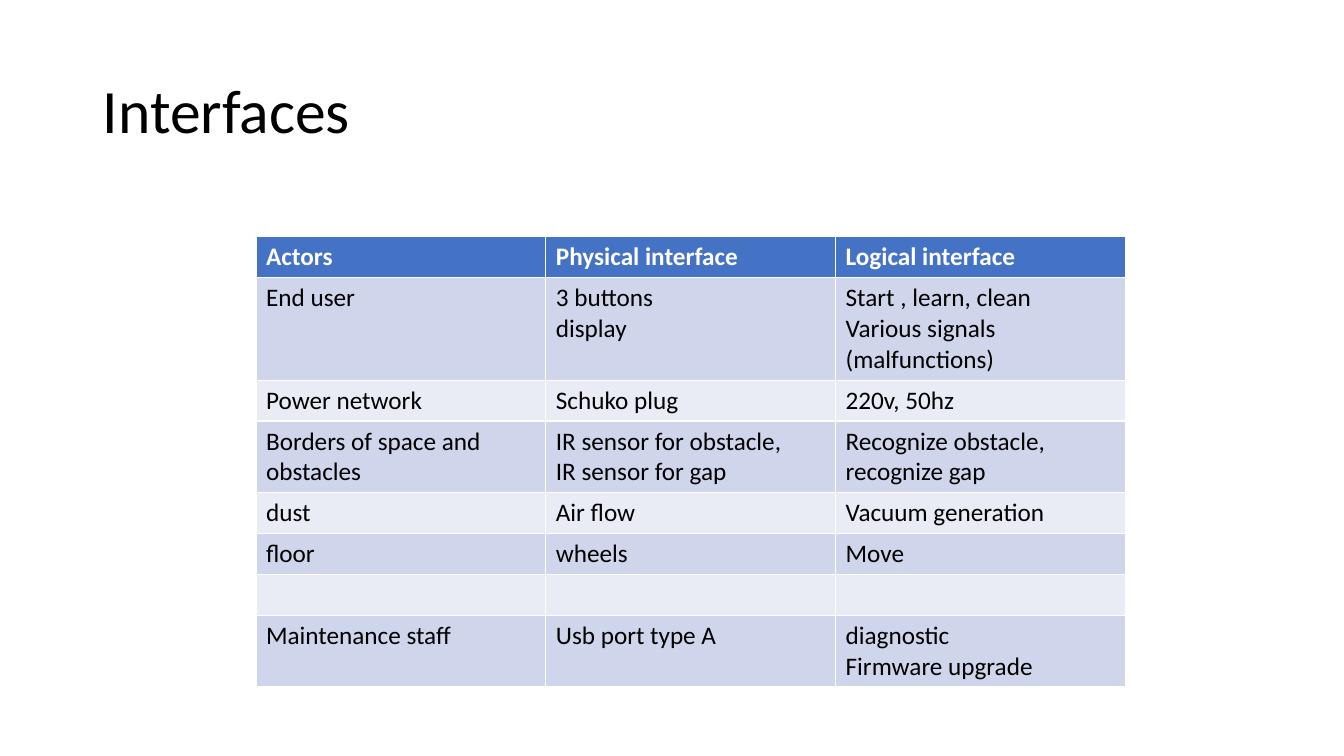
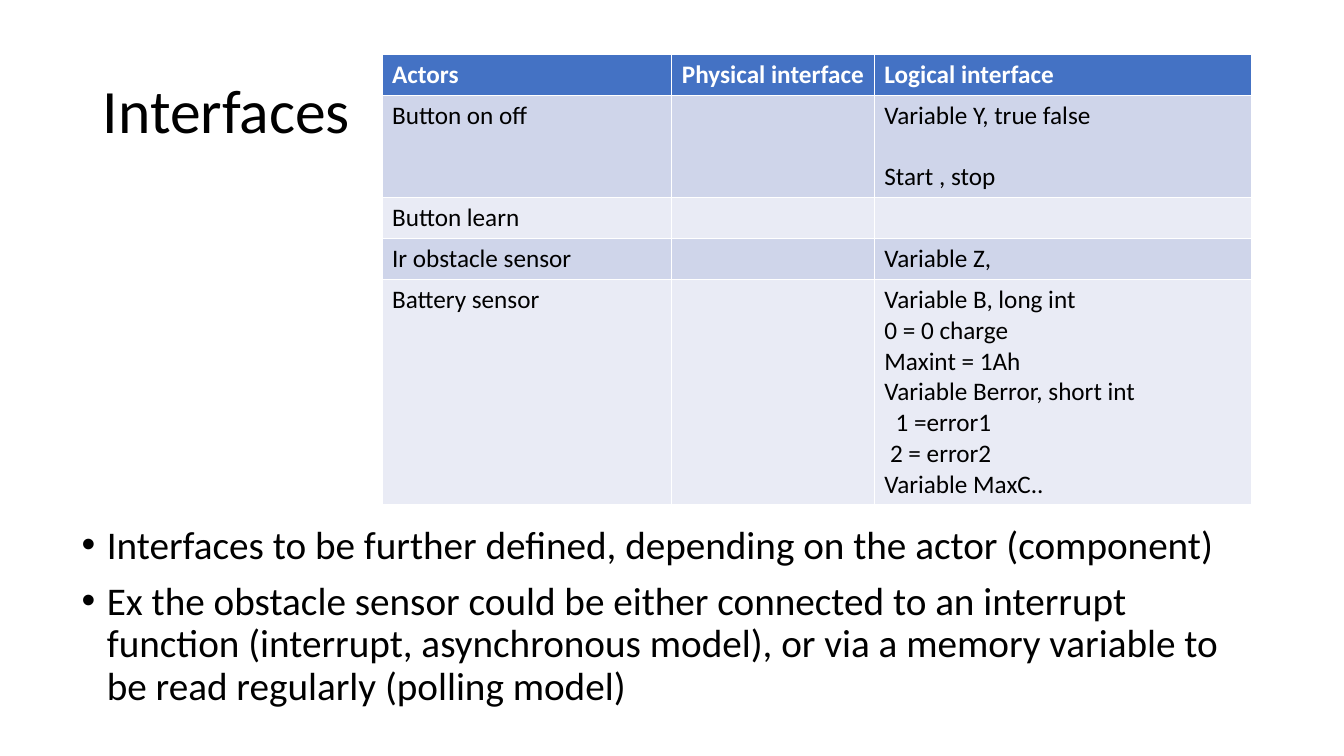
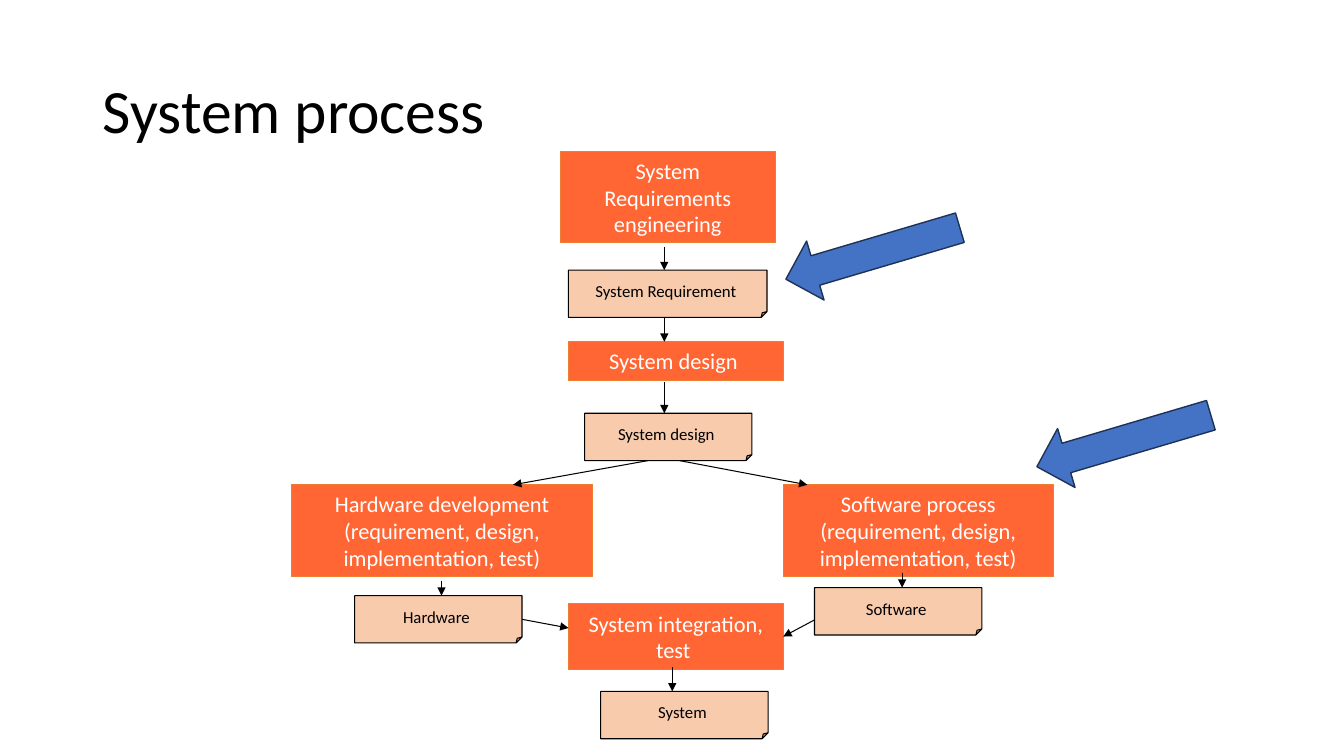
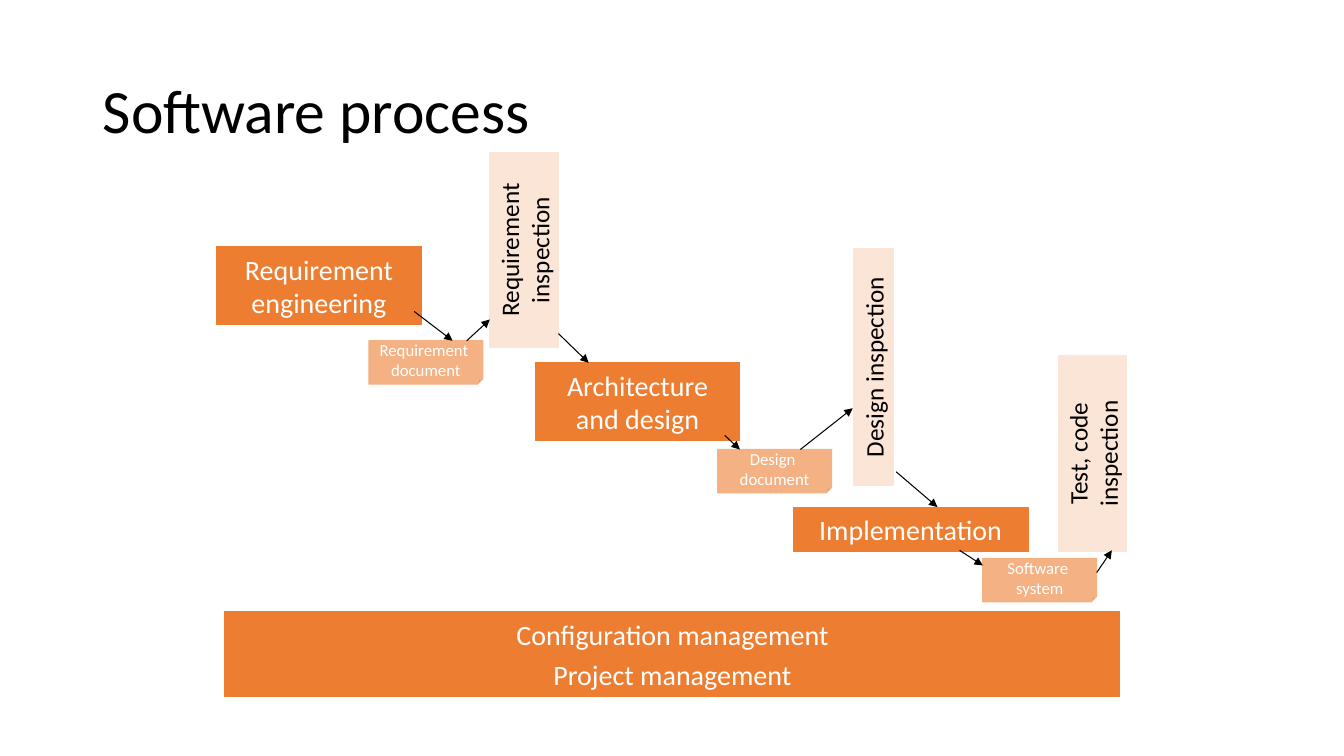
from lxml.etree import SubElement
from pptx import Presentation
from pptx.dml.color import RGBColor
from pptx.enum.shapes import MSO_CONNECTOR as Connector, MSO_SHAPE as Preset
from pptx.enum.text import MSO_ANCHOR as Anchor, MSO_AUTO_SIZE as AutoSize, PP_ALIGN as Align
from pptx.oxml.ns import qn
from pptx.util import Pt

FONT = "Calibri"
BLACK, WHITE, BLUE, NAVY = "000000", "FFFFFF", "4472C4", "1E3256"
BANDS = ("CFD5EA", "E9EBF5")
TITLE_ONLY, TITLE_AND_BODY = 5, 1
ROW_HEIGHT = 29.2
JOIN_DISTANCE = 1

# Box styles: preset, fill, line, text colour, text size, wrap, rotation
STYLES = {
    "stage": (Preset.RECTANGLE, "FF6633", "ED7D31", WHITE, 16, True, 0),
    "product": (Preset.FOLDED_CORNER, "F8CBAD", BLACK, BLACK, 12, False, 0),
    "activity": (Preset.RECTANGLE, "ED7D31", "ED7D31", WHITE, 20, True, 0),
    "document": (Preset.FOLDED_CORNER, "F4B183", "F4B183", WHITE, 12, False, 0),
    "inspection": (Preset.RECTANGLE, "FBE5D6", "FBE5D6", BLACK, 18, True, 270),
}

# Content
HEADER = ("Actors", "Physical interface", "Logical interface")
ACTORS = [
    HEADER,
    ("End user", "3 buttons\ndisplay", "Start , learn, clean\nVarious signals (malfunctions)"),
    ("Power network", "Schuko plug", "220v, 50hz"),
    ("Borders of space and obstacles", "IR sensor for obstacle,\nIR sensor for gap",
     "Recognize obstacle, recognize gap"),
    ("dust", "Air flow", "Vacuum generation"),
    ("floor", "wheels", "Move"),
    ("", "", ""),
    ("Maintenance staff", "Usb port type A", "diagnostic\nFirmware upgrade"),
]
COMPONENTS = [
    HEADER,
    ("Button on off", "", "Variable Y, true false\nStart , stop"),
    ("Button learn", "", ""),
    ("Ir obstacle sensor", "", "Variable Z,"),
    ("Battery sensor", "", "Variable B, long int\n0 = 0 charge\nMaxint = 1Ah\n"
     "Variable Berror, short int\n1 =error1\n2 = error2\nVariable MaxC.."),
]
REMARKS = [
    "Interfaces to be further defined, depending on the actor (component)",
    "Ex the obstacle sensor could be either connected to an interrupt function (interrupt, "
    "asynchronous model), or via a memory variable to be read regularly (polling model)",
]

# Boxes: style, text, left, top, width, height
SYSTEM_BOXES = [
    ("stage", "System Requirements engineering", 400.3, 108, 153.4, 65.5),
    ("product", "System Requirement ", 406.1, 193, 141.8, 33.8),
    ("stage", "System design ", 406.1, 244.1, 153.4, 27.4),
    ("product", "System design ", 417.6, 295.2, 119.5, 33.8),
    ("stage", "Software process (requirement, design, implementation, test)",
     559.4, 346.3, 193, 65.5),
    ("stage", "Hardware development (requirement, design, implementation, test)",
     208.1, 346.3, 215.3, 65.5),
    ("stage", "System integration, test ", 406.1, 431.3, 153.4, 46.8),
    ("product", "Software ", 581.8, 419.8, 119.5, 33.8),
    ("product", "Hardware ", 253.4, 425.5, 119.5, 33.8),
    ("product", "System ", 429.1, 493.9, 119.5, 33.8),
]
SOFTWARE_BOXES = [
    ("activity", "Requirement engineering", 154.8, 176.4, 146.2, 55.4),
    ("activity", "Architecture and design", 382.3, 259.2, 146.2, 55.4),
    ("activity", "Implementation", 566.6, 362.2, 167.8, 31.7),
    ("document", "Requirement \ndocument", 263.5, 243.4, 81.4, 31),
    ("document", "Design \ndocument", 512.6, 321.1, 81.4, 31),
    ("document", "Software \nsystem", 702, 398.9, 81.4, 31),
    ("inspection", "Requirement inspection", 304.6, 154.1, 139.7, 49),
    ("inspection", "Design inspection", 539.3, 247.7, 169.2, 28.8),
    ("inspection", "Test, code inspection", 710.6, 299.5, 139.7, 49),
    ("activity", "Configuration management", 160.6, 437, 639.4, 31.7),
    ("activity", "Project management", 160.6, 465.8, 639.4, 31.7),
]

# Arrows: start x, start y, end x, end y
SYSTEM_ARROWS = [
    (474.5, 176.4, 474.5, 193), (474.5, 227.5, 474.5, 244.1), (474.5, 272.9, 474.5, 295.2),
    (463, 329, 366.5, 346.3), (485.3, 329, 576.7, 346.3),
    (315.4, 414.7, 315.4, 425.5), (644.4, 409, 644.4, 419.8),
    (372.2, 442.8, 406.1, 448.6), (581.8, 442.8, 559.4, 454.3), (480.2, 476.6, 480.2, 493.9),
]
SOFTWARE_ARROWS = [
    (295.9, 222.5, 323.3, 243.4), (333.4, 243.4, 349.9, 228.2), (398.9, 238.3, 420.5, 259.2),
    (517.7, 311, 528.5, 321.1), (571.7, 321.1, 609.1, 291.6), (640.1, 337, 669.6, 362.2),
    (685.4, 393.1, 702, 403.9), (783.4, 409, 794.2, 393.1),
]
POINTERS = [(558.7, 159.1), (738, 293)]


def color(value):
    return RGBColor.from_string(value)


def place(shape, left, top, width, height):
    shape.left, shape.top, shape.width, shape.height = map(Pt, (left, top, width, height))


def style_text(para, size, text_color, bold=False):
    font = para.font
    font.name, font.size, font.bold = FONT, Pt(size), bold
    font.color.rgb = color(text_color)


def indent(para, left, first=0):
    props = para._p.get_or_add_pPr()
    props.set("marL", str(Pt(left)))
    props.set("indent", str(Pt(first)))


def paint(shape, fill, line, width):
    shape.shadow.inherit = False
    shape.fill.solid()
    shape.fill.fore_color.rgb = color(fill)
    shape.line.color.rgb = color(line)
    shape.line.width = Pt(width)


def add_page(deck, title, layout=TITLE_ONLY):
    page = deck.slides.add_slide(deck.slide_layouts[layout])
    heading = page.shapes.title
    place(heading, 66.2, 28.8, 828, 104.4)
    frame = heading.text_frame
    frame.text = title
    frame.auto_size, frame.vertical_anchor = AutoSize.NONE, Anchor.MIDDLE
    para = frame.paragraphs[0]
    para.alignment, para.line_spacing = Align.LEFT, 0.9
    style_text(para, 44, BLACK)
    return page


def add_remarks(page, remarks):
    body = page.placeholders[1]
    place(body, 51.1, 371.5, 828, 158)
    frame = body.text_frame
    frame.text = "\n".join(remarks)
    frame.auto_size = AutoSize.NONE
    for para in frame.paragraphs:
        para.line_spacing, para.space_before = 0.9, Pt(10)
        indent(para, 18, -18)
        style_text(para, 28, BLACK)


def add_grid(page, rows, left, top, widths):
    frame = page.shapes.add_table(len(rows), len(widths), Pt(left), Pt(top),
                                  Pt(sum(widths)), Pt(ROW_HEIGHT * len(rows)))
    table = frame.table
    for column, width in zip(table.columns, widths):
        column.width = Pt(width)
    for r, row in enumerate(rows):
        for c, text in enumerate(row):
            cell = table.cell(r, c)
            cell.text = text
            cell.fill.solid()
            cell.fill.fore_color.rgb = color(BANDS[(r - 1) % 2] if r else BLUE)
            for para in cell.text_frame.paragraphs:
                style_text(para, 18, BLACK if r else WHITE, bold=r == 0)
    return table


def add_box(page, style, text, *area):
    preset, fill, line, text_color, size, wrap, rotation = STYLES[style]
    box = page.shapes.add_shape(preset, *map(Pt, area))
    paint(box, fill, line, 0.75)
    box.rotation = rotation
    if preset == Preset.FOLDED_CORNER:
        guides = box._element.spPr.find(".//" + qn("a:avLst"))
        SubElement(guides, qn("a:gd"), name="adj", fmla="val 12500")
    frame = box.text_frame
    frame.text = text
    frame.word_wrap, frame.vertical_anchor = wrap, Anchor.MIDDLE
    for para in frame.paragraphs:
        para.alignment = Align.CENTER
        style_text(para, size, text_color)
    return box


def join(connect, x, y, boxes):
    """Attach a connector end that lies at the middle of an upright box's side."""
    for box in boxes:
        middle_x, middle_y = box.left + box.width / 2, box.top + box.height / 2
        sides = [(middle_x, box.top), (box.left, middle_y),
                 (middle_x, box.top + box.height), (box.left + box.width, middle_y)]
        for site, (side_x, side_y) in enumerate(sides):
            gap = max(abs(side_x - Pt(x)), abs(side_y - Pt(y)))
            if not box.rotation and gap <= Pt(JOIN_DISTANCE):
                connect(box, site)
                return


def add_arrow(page, ends, boxes):
    arrow = page.shapes.add_connector(Connector.STRAIGHT, *map(Pt, ends))
    arrow.line.color.rgb = color(BLACK)
    arrow.line.width = Pt(0.75)
    SubElement(arrow.line._get_or_add_ln(), qn("a:tailEnd"), type="triangle")
    SubElement(arrow._element.spPr, qn("a:effectLst"))
    join(arrow.begin_connect, *ends[:2], boxes)
    join(arrow.end_connect, *ends[2:], boxes)


def add_flow(page, boxes, arrows):
    drawn = [add_box(page, *box) for box in boxes]
    for ends in arrows:
        add_arrow(page, ends, drawn)


def main():
    deck = Presentation()
    deck.slide_width, deck.slide_height = Pt(960), Pt(540)

    # Interfaces of the actors
    page = add_page(deck, "Interfaces")
    add_grid(page, ACTORS, 182.9, 169.2, (207, 207, 207))

    # Interfaces of the components
    page = add_page(deck, "Interfaces", TITLE_AND_BODY)
    add_remarks(page, REMARKS)
    table = add_grid(page, COMPONENTS, 272.9, 38.9, (207, 144.7, 269.3))
    table.cell(1, 2).text_frame.paragraphs[1].space_before = Pt(22)
    battery = table.cell(4, 2).text_frame.paragraphs
    indent(battery[4], 8)
    indent(battery[5], 4)

    # System process
    page = add_page(deck, "System process")
    add_flow(page, SYSTEM_BOXES, SYSTEM_ARROWS)
    for left, top in POINTERS:
        pointer = page.shapes.add_shape(Preset.LEFT_ARROW, Pt(left), Pt(top), Pt(129.6), Pt(43.9))
        paint(pointer, BLUE, NAVY, 1)
        pointer.rotation = 343.5

    # Software process
    page = add_page(deck, "Software process")
    add_flow(page, SOFTWARE_BOXES, SOFTWARE_ARROWS)

    deck.save("out.pptx")


if __name__ == "__main__":
    main()
